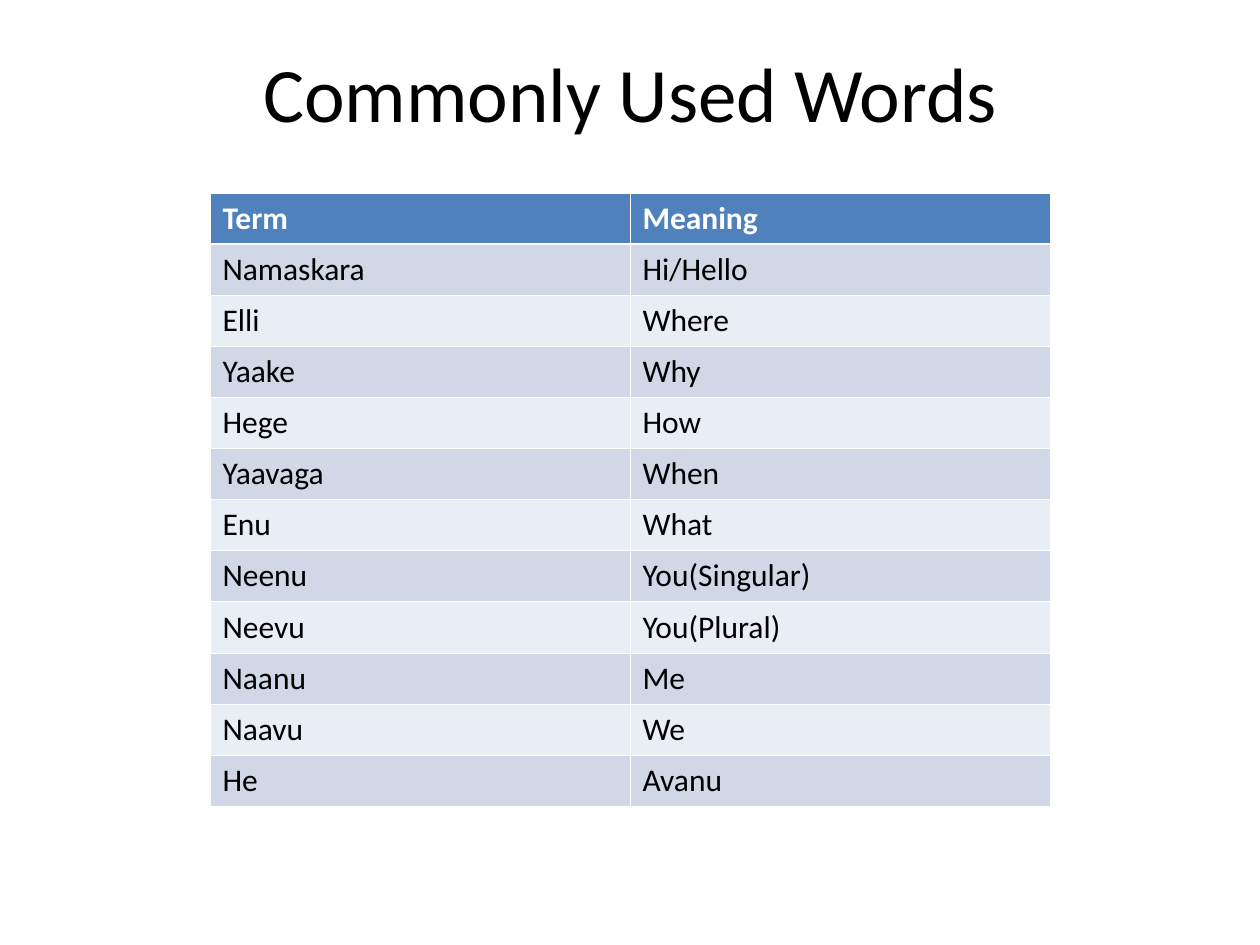
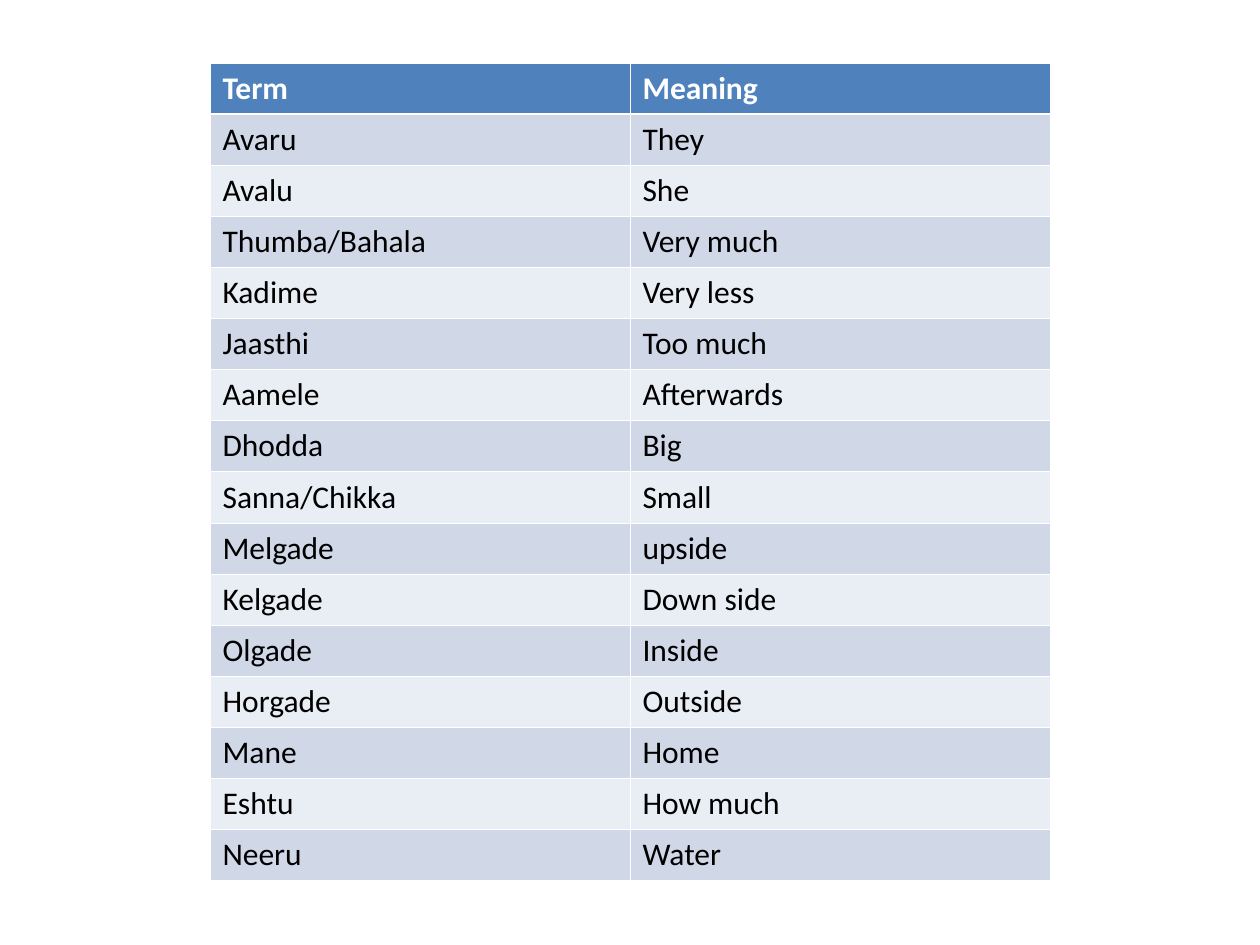
from dataclasses import dataclass

from lxml.etree import SubElement
from pptx import Presentation
from pptx.dml.color import RGBColor
from pptx.enum.text import MSO_ANCHOR, PP_ALIGN
from pptx.oxml.ns import qn
from pptx.util import Emu, Pt

EMU_PER_PX = 914400 / 126
TITLE_ONLY, BLANK = 5, 6


def px(length):
    return Emu(round(length * EMU_PER_PX))


@dataclass(frozen=True)
class Theme:
    font: str = "Calibri"
    title_size: int = 44
    cell_size: int = 18
    ink: str = "000000"
    paper: str = "FFFFFF"
    header: str = "4F81BD"
    bands: tuple = ("D0D8E8", "E9EDF4")
    rule: float = 0.45
    header_rule: float = 1.47


def write(frame, text, *, font, size, color, bold=False, align=PP_ALIGN.LEFT):
    paragraph = frame.paragraphs[0]
    paragraph.alignment = align
    run = paragraph.add_run()
    run.text = text
    run.font.name = font
    run.font.size = Pt(size)
    run.font.bold = bold
    run.font.color.rgb = RGBColor.from_string(color)


class Deck:
    def __init__(self, theme):
        self.theme = theme
        self.presentation = Presentation()
        self.presentation.slide_width = px(1260)
        self.presentation.slide_height = px(945)
        self.slide = None

    def add_slide(self, layout):
        layouts = self.presentation.slide_layouts
        self.slide = self.presentation.slides.add_slide(layouts[layout])

    def title(self, text, left, top, width, height):
        heading = self.slide.shapes.title
        heading.left, heading.top = px(left), px(top)
        heading.width, heading.height = px(width), px(height)
        heading.text_frame.vertical_anchor = MSO_ANCHOR.MIDDLE
        write(heading.text_frame, text, font=self.theme.font,
              size=self.theme.title_size, color=self.theme.ink,
              align=PP_ALIGN.CENTER)

    def border(self, cell, side, weight):
        line = SubElement(cell._tc.get_or_add_tcPr(), qn(f"a:{side}"),
                          w=str(Pt(weight)))
        fill = SubElement(line, qn("a:solidFill"))
        SubElement(fill, qn("a:srgbClr"), val=self.theme.paper)

    def cell(self, cell, text, row):
        theme = self.theme
        is_header = row == 0
        weights = {
            "lnL": theme.rule,
            "lnR": theme.rule,
            "lnT": theme.header_rule if row == 1 else theme.rule,
            "lnB": theme.header_rule if is_header else theme.rule,
        }
        for side, weight in weights.items():
            self.border(cell, side, weight)
        band = theme.header if is_header else theme.bands[(row - 1) % 2]
        cell.fill.solid()
        cell.fill.fore_color.rgb = RGBColor.from_string(band)
        write(cell.text_frame, text, font=theme.font, size=theme.cell_size,
              color=theme.paper if is_header else theme.ink, bold=is_header)

    def glossary(self, entries, top, height, left=210, width=840):
        rows = [("Term", "Meaning"), *entries]
        table = self.slide.shapes.add_table(
            len(rows), 2, px(left), px(top), px(width), px(height)).table
        for column in table.columns:
            column.width = px(width / 2)
        for index, words in enumerate(rows):
            table.rows[index].height = px(height / len(rows))
            for column, word in enumerate(words):
                self.cell(table.cell(index, column), word, index)


COMMON_WORDS = [
    ("Namaskara", "Hi/Hello"),
    ("Elli", "Where"),
    ("Yaake", "Why"),
    ("Hege", "How"),
    ("Yaavaga", "When"),
    ("Enu", "What"),
    ("Neenu", "You(Singular)"),
    ("Neevu", "You(Plural)"),
    ("Naanu", "Me"),
    ("Naavu", "We"),
    ("He", "Avanu"),
]

MORE_WORDS = [
    ("Avaru", "They"),
    ("Avalu", "She"),
    ("Thumba/Bahala", "Very much"),
    ("Kadime", "Very less"),
    ("Jaasthi", "Too much"),
    ("Aamele", "Afterwards"),
    ("Dhodda", "Big"),
    ("Sanna/Chikka", "Small"),
    ("Melgade", "upside"),
    ("Kelgade", "Down side"),
    ("Olgade", "Inside"),
    ("Horgade", "Outside"),
    ("Mane", "Home"),
    ("Eshtu", "How much"),
    ("Neeru", "Water"),
]


def main():
    deck = Deck(Theme())

    deck.add_slide(TITLE_ONLY)
    deck.title("Commonly Used Words", 95, -10, 1071, 203)
    deck.glossary(COMMON_WORDS, top=193, height=613)

    deck.add_slide(BLANK)
    deck.glossary(MORE_WORDS, top=63, height=818)

    deck.presentation.save("out.pptx")


if __name__ == "__main__":
    main()
